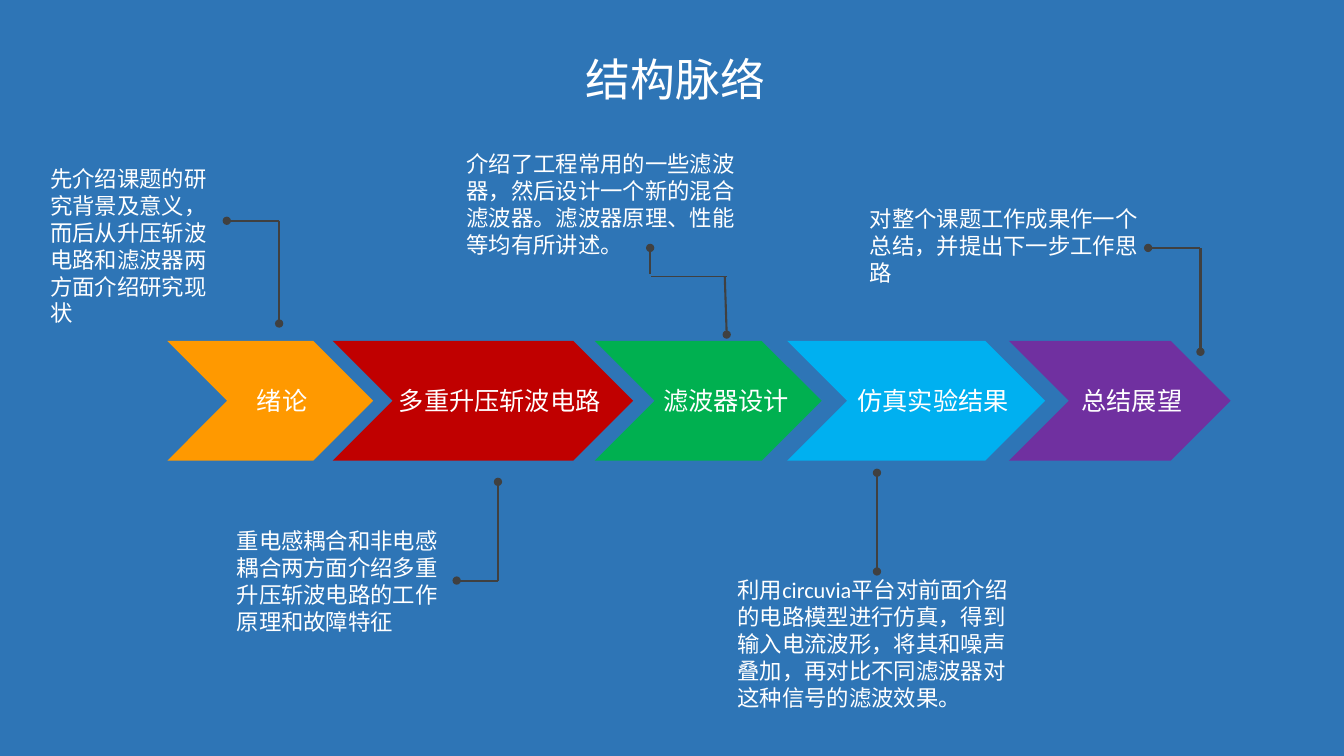
from lxml import etree
from pptx import Presentation
from pptx.dml.color import RGBColor
from pptx.enum.shapes import MSO_CONNECTOR, MSO_SHAPE
from pptx.enum.text import MSO_AUTO_SIZE, PP_ALIGN
from pptx.oxml.ns import qn
from pptx.util import Pt

CHEVRON = MSO_SHAPE.CHEVRON
STRAIGHT = MSO_CONNECTOR.STRAIGHT
FIT_SHAPE = MSO_AUTO_SIZE.SHAPE_TO_FIT_TEXT
LEFT, CENTER = PP_ALIGN.LEFT, PP_ALIGN.CENTER

BLUE = RGBColor(0x2E, 0x75, 0xB6)
WHITE = RGBColor(0xFF, 0xFF, 0xFF)
GRAY = RGBColor(0x40, 0x40, 0x40)
ORANGE = RGBColor(0xFF, 0x99, 0x00)
RED = RGBColor(0xC0, 0x00, 0x00)
GREEN = RGBColor(0x00, 0xB0, 0x50)
CYAN = RGBColor(0x00, 0xB0, 0xF0)
PURPLE = RGBColor(0x70, 0x30, 0xA0)

BODY_FONT, TITLE_FONT = "Calibri", "Noto Sans CJK SC"

# Content: all lengths in points
TITLE = ("结构脉络", (389.5, 33.1, 185.8, 46.1))

STEP_TOP, STEP_HEIGHT = 243.4, 85.7
LABEL_TOP, LABEL_HEIGHT = 271.4, 29
# label, colour, chevron left and width, label left and width
STEPS = [
    ("绪论", ORANGE, 119.5, 147, 176.4, 51),
    ("多重升压斩波电路", RED, 237.6, 214.6, 277.9, 160),
    ("滤波器设计", GREEN, 424.8, 162, 466.6, 105),
    ("仿真实验结果", CYAN, 562.3, 184.3, 605.5, 124),
    ("总结展望", PURPLE, 720.7, 158.4, 765.4, 87),
]

NOTES = [
    ("先介绍课题的研究背景及意义，而后从升压斩波电路和滤波器两方面介绍研究现状",
     (28.8, 114.5, 133.2, 123.8)),
    ("重电感耦合和非电感耦合两方面介绍多重升压斩波电路的工作原理和故障特征",
     (162, 373, 164.2, 85)),
    ("介绍了工程常用的一些滤波器，然后设计一个新的混合滤波器。滤波器原理、性能等均有所讲述。",
     (326.2, 103.7, 213.1, 85)),
    ("利用circuvia平台对前面介绍的电路模型进行仿真，得到输入电流波形，将其和噪声叠加，再对比不同滤波器对这种信号的滤波效果。",
     (519.8, 408.2, 213.1, 104.4)),
    ("对整个课题工作成果作一个总结，并提出下一步工作思路",
     (614.2, 143.3, 213.1, 65.5)),
]

# start, end, line width, ends that carry a dot
LEADERS = [
    ((199.4, 157.7), (162, 157.7), 1.5, ("tailEnd",)),
    ((199.4, 157.7), (199.4, 231.1), 1.5, ("tailEnd",)),
    ((355.7, 414.7), (355.7, 344.2), 1.5, ("tailEnd",)),
    ((355.7, 414.7), (326.2, 414.7), 1.5, ("tailEnd",)),
    ((517.7, 197.3), (519.1, 239), 1.5, ("tailEnd",)),
    ((519.1, 197.3), (465.1, 197.3), 0.5, ()),
    ((464.4, 195.8), (464.4, 177.1), 1.5, ("tailEnd",)),
    ((857.5, 177.1), (820.1, 177.1), 1.5, ("tailEnd",)),
    ((857.5, 177.1), (857.5, 251.3), 1.5, ("tailEnd",)),
    ((626.4, 408.2), (626.4, 337.7), 1.5, ("headEnd", "tailEnd")),
]


def add_text(page, text, bounds, size, font=BODY_FONT, align=LEFT, wrap=True):
    box = page.shapes.add_textbox(*map(Pt, bounds))
    frame = box.text_frame
    frame.word_wrap = wrap
    frame.auto_size = FIT_SHAPE
    para = frame.paragraphs[0]
    para.text = text
    para.alignment = align
    para.font.size = Pt(size)
    para.font.name = font
    para.font.color.rgb = WHITE


def add_step(page, color, left, width):
    step = page.shapes.add_shape(
        CHEVRON, Pt(left), Pt(STEP_TOP), Pt(width), Pt(STEP_HEIGHT))
    step.shadow.inherit = False
    step.fill.solid()
    step.fill.fore_color.rgb = color
    step.line.fill.background()


def add_leader(page, start, end, width, dots):
    leader = page.shapes.add_connector(STRAIGHT, *map(Pt, start + end))
    leader.line.color.rgb = GRAY
    leader.line.width = Pt(width)
    outline = leader.line._get_or_add_ln()
    for dot in dots:
        etree.SubElement(outline, qn("a:" + dot), type="oval")
    etree.SubElement(leader._element.spPr, qn("a:effectLst"))


def main():
    deck = Presentation()
    deck.slide_width, deck.slide_height = Pt(960), Pt(540)
    page = deck.slides.add_slide(deck.slide_layouts[6])
    page.background.fill.solid()
    page.background.fill.fore_color.rgb = BLUE

    # Title
    add_text(page, *TITLE, 32, font=TITLE_FONT, align=CENTER)

    # Chain of steps, then their labels
    for _, color, left, width, _, _ in STEPS:
        add_step(page, color, left, width)
    for label, _, _, _, left, width in STEPS:
        add_text(page, label, (left, LABEL_TOP, width, LABEL_HEIGHT), 18, wrap=False)

    # Notes and the leaders to their steps
    for text, bounds in NOTES:
        add_text(page, text, bounds, 16)
    for leader in LEADERS:
        add_leader(page, *leader)

    deck.save("out.pptx")


if __name__ == "__main__":
    main()
